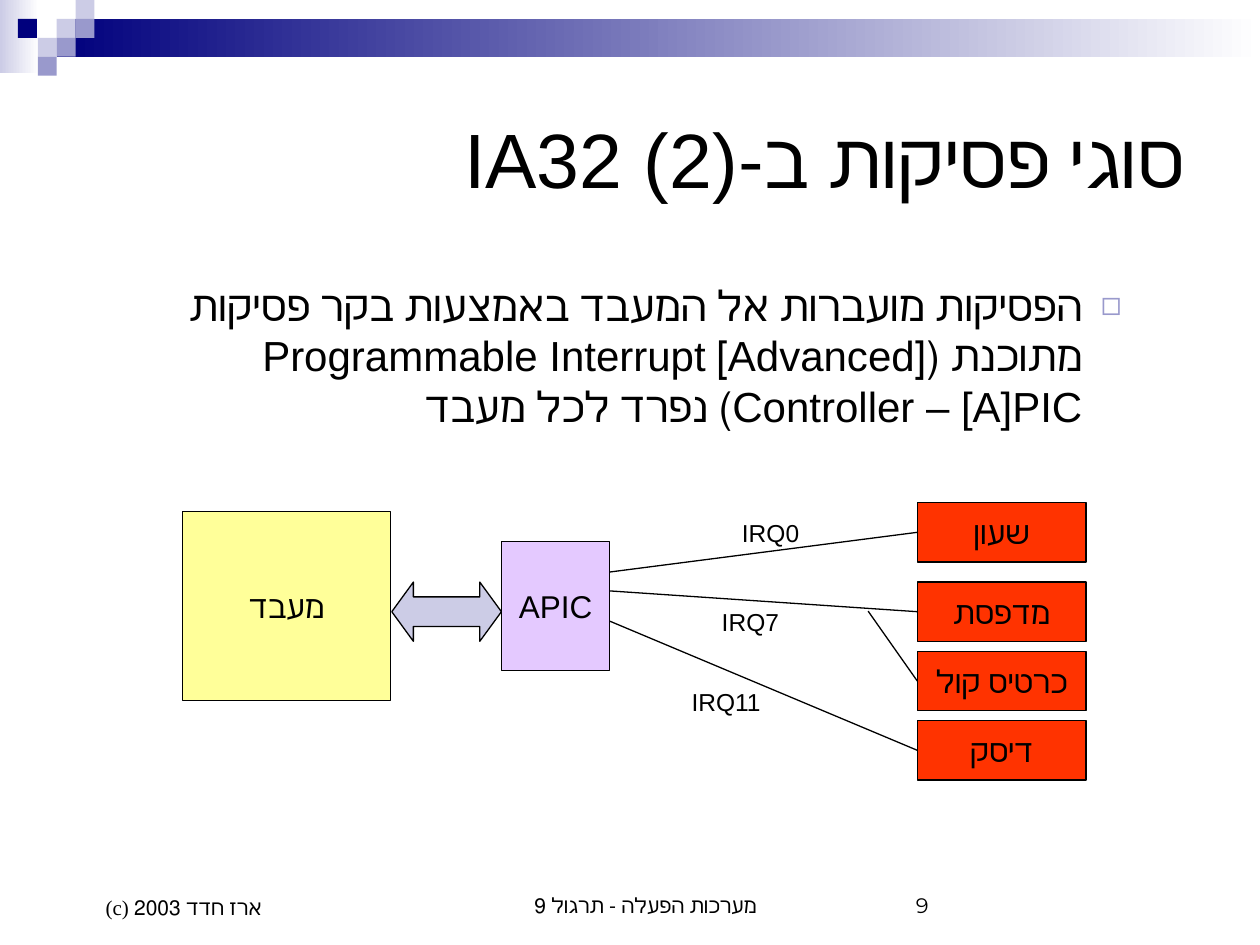
from lxml import etree
from pptx import Presentation, util as u
from pptx.dml.color import RGBColor
from pptx.enum import shapes, text
from pptx.oxml.ns import qn

C = {"navy": "00007D", "lilac": "CCCCE6", "violet": "9999CC", "white": "FFFFFF",
     "black": "000000", "cpu": "FFFF99", "apic": "E4C9FF", "device": "FF3300"}
AL = text.PP_ALIGN
MID, BOTTOM, TOP = (text.MSO_ANCHOR.MIDDLE, text.MSO_ANCHOR.BOTTOM,
                    text.MSO_ANCHOR.TOP)
W, H = 10, 7.5

prs = Presentation()
prs.slide_width, prs.slide_height = u.Inches(W), u.Inches(H)
s = prs.slides.add_slide(prs.slide_layouts[5])


def add_box(kind, x, y, w, h, fill, outlined=True):
    sp = s.shapes.add_shape(kind, *map(u.Inches, (x, y, w, h)))
    sp.shadow.inherit = False
    sp.fill.solid()
    sp.fill.fore_color.rgb = RGBColor.from_string(C[fill])
    if outlined:
        sp.line.color.rgb = RGBColor.from_string(C["black"])
        sp.line.width = u.Pt(0.75)
    else:
        sp.line.fill.background()
    return sp


def write(sp, words, size, align=None, anchor=MID, rtl=True, font="Arial", wrap=True):
    tf = sp.text_frame
    tf.word_wrap, tf.auto_size = wrap, text.MSO_AUTO_SIZE.NONE
    tf.vertical_anchor = anchor
    p = tf.paragraphs[0]
    p.alignment = align
    if rtl:
        p._p.get_or_add_pPr().set("rtl", "1")
    r = p.add_run()
    r.text = words
    r.font.size, r.font.name = u.Pt(size), font
    r.font.color.rgb = RGBColor.from_string(C["black"])
    return p


RECT = shapes.MSO_SHAPE.RECTANGLE

# Corner decoration: two gradient bands, then squares on a 0.15 inch grid
Q = 0.15
for x, y, w, h, colour in [(0, 0, 0.31, 0.58, "lilac"),
                           (3 * Q, Q, W - 3 * Q, 2 * Q, "navy")]:
    sp = add_box(RECT, x, y, w, h, colour, outlined=False)
    sp.fill.gradient()
    sp.fill.gradient_angle = 180
    for stop, name, pos in zip(sp.fill.gradient_stops, ("white", colour), (0, 1)):
        stop.color.rgb = RGBColor.from_string(C[name])
        stop.position = pos
for col, row, colour in [(3, 1, "lilac"), (4, 0, "lilac"), (4, 1, "violet"),
                         (2, 2, "lilac"), (0.95, 1, "navy"), (3, 2, "violet"),
                         (2, 3, "violet")]:
    add_box(RECT, col * Q, row * Q, Q, Q, colour, outlined=False)

# Title
sp = s.shapes.title
sp.left, sp.top, sp.width, sp.height = map(u.Inches, (0.5, 0.5, W - 1, 1.5))
write(sp, "סוגי פסיקות ב-IA32 (2)", 44, AL.RIGHT)

# Bulleted statement
sp = s.shapes.add_textbox(*map(u.Inches, (0.5, 2.17, W - 1, 2.04)))
p = write(sp, "הפסיקות מועברות אל המעבד באמצעות בקר פסיקות מתוכנת "
              "([Advanced] Programmable Interrupt Controller – [A]PIC) נפרד לכל מעבד",
          24, AL.RIGHT, TOP)
p.space_before = u.Pt(6)
pPr = p._p.get_or_add_pPr()
pPr.set("marL", str(u.Inches(0.81)))
pPr.set("indent", str(u.Inches(-0.31)))
clr = etree.SubElement(pPr, qn("a:buClr"))
etree.SubElement(clr, qn("a:srgbClr"), val=C["violet"])
etree.SubElement(pPr, qn("a:buSzPct"), val="80000")
etree.SubElement(pPr, qn("a:buFont"), typeface="Arial")
etree.SubElement(pPr, qn("a:buChar"), char="◻")

# Diagram columns, left to right
CPU_X, ARROW_X, APIC_X, APIC_R, DEV_X = 1.45, 3.11, 3.98, 4.84, 7.28
ROW_H = 0.47

# Processor, interrupt controller and devices
boxes = {}
for name, x, y, w, h, colour in [
        ("מעבד", CPU_X, 4.06, 1.65, 1.5, "cpu"),
        ("APIC", APIC_X, 4.3, APIC_R - APIC_X, 1.02, "apic"),
        ("שעון", DEV_X, 3.99, 1.34, ROW_H, "device"),
        ("מדפסת", DEV_X, 4.62, 1.34, ROW_H, "device"),
        ("כרטיס קול", DEV_X, 5.17, 1.34, ROW_H, "device"),
        ("דיסק", DEV_X, 5.72, 1.34, ROW_H, "device")]:
    boxes[name] = add_box(RECT, x, y, w, h, colour)
    write(boxes[name], name, 18, AL.CENTER, wrap=False)

# Two-way bus
sp = add_box(shapes.MSO_SHAPE.LEFT_RIGHT_ARROW, ARROW_X, 4.62, APIC_X - ARROW_X,
             ROW_H, "lilac")
sp.adjustments[0], sp.adjustments[1] = 0.5, 0.365

# Interrupt lines, each ending at the left side of its device
for device, x, y in [("שעון", APIC_R, 4.54), ("מדפסת", APIC_R, 4.69),
                     ("כרטיס קול", 6.89, 4.85), ("דיסק", APIC_R, 4.93)]:
    ln = s.shapes.add_connector(shapes.MSO_CONNECTOR.STRAIGHT, u.Inches(x),
                                u.Inches(y), u.Inches(DEV_X), u.Inches(y))
    ln.end_connect(boxes[device], 1)
    ln.line.color.rgb = RGBColor.from_string(C["black"])
    ln.line.width = u.Pt(0.75)
    etree.SubElement(ln._element.spPr, qn("a:effectLst"))

# Line labels, wide enough to stay on one line
for label, x, y, w in [("IRQ0", 5.79, 4.06, 0.7), ("IRQ7", 5.63, 4.77, 0.7),
                       ("IRQ11", 5.39, 5.4, 0.8)]:
    sp = s.shapes.add_textbox(*map(u.Inches, (x, y, w, 0.34)))
    write(sp, label, 14, AL.LEFT, TOP, wrap=True)

# Footer
for words, x, w, h, align, font, margin in [
        ("מערכות הפעלה - תרגול 9", 3.42, 3.17, 0.5, AL.CENTER, "Times New Roman", 0.24),
        ("9", 7.17, 2.33, 0.5, AL.LEFT, "Montserrat", 0),
        ("(c) ארז חדד 2003", 0.5, 2.33, 0.52, AL.LEFT, "Times New Roman", 0.24)]:
    sp = s.shapes.add_textbox(*map(u.Inches, (x, 6.83, w, h)))
    p = write(sp, words, 12, align, BOTTOM, rtl=False, font=font)
    p._p.get_or_add_pPr().set("marL", str(u.Inches(margin)))

prs.save("out.pptx")
